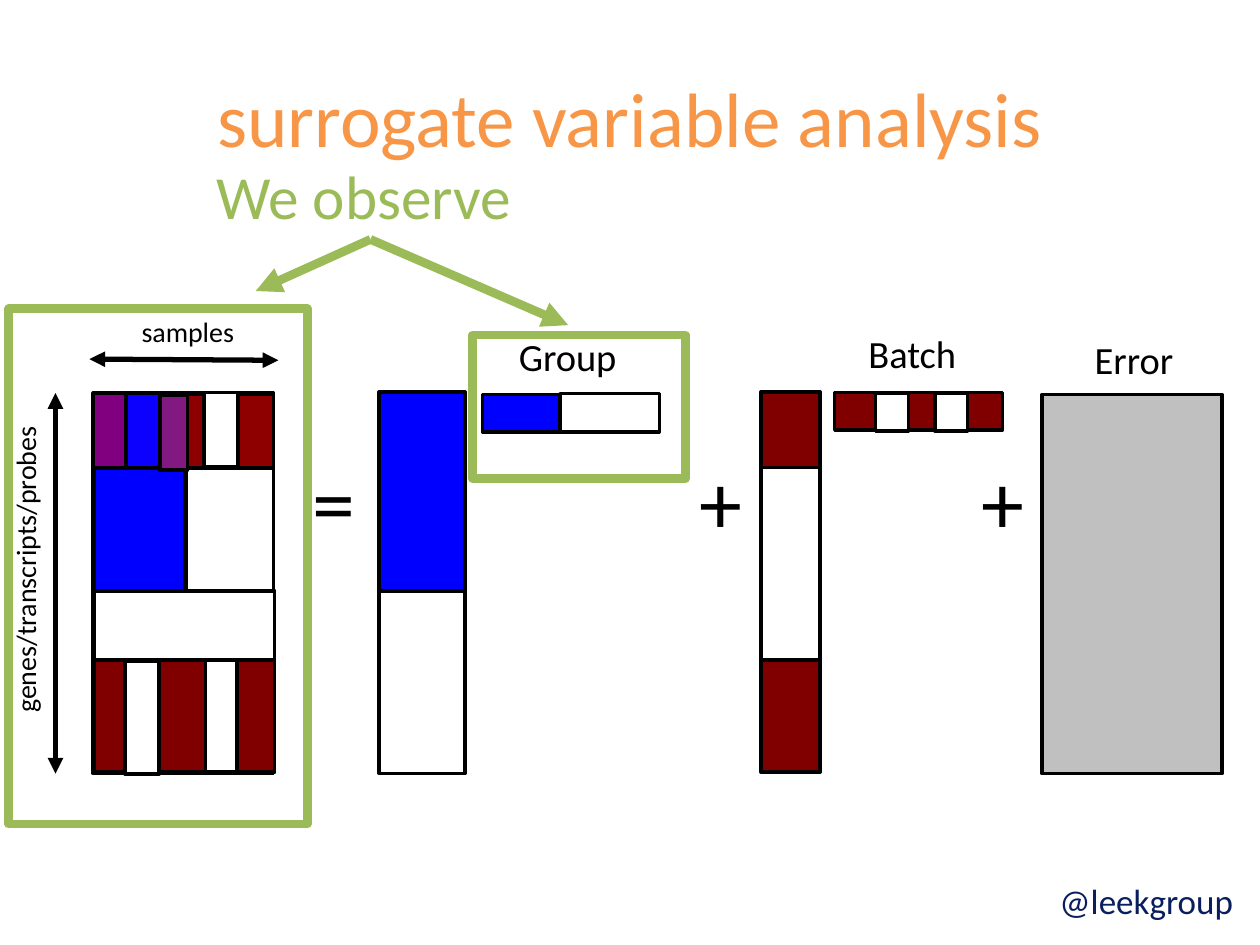
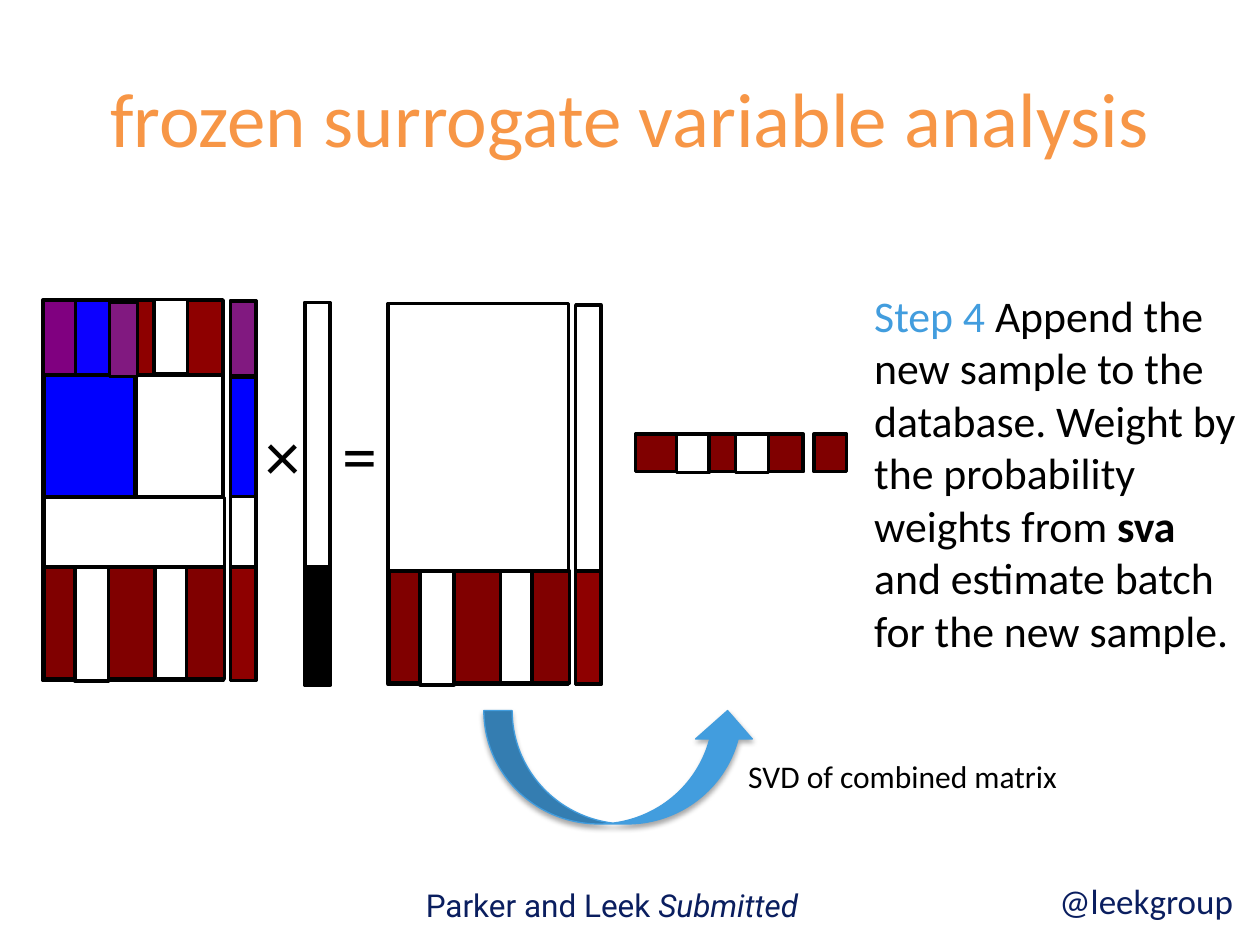
from lxml.etree import SubElement
from pptx import Presentation
from pptx.dml.color import RGBColor
from pptx.enum.shapes import MSO_CONNECTOR as Connector, MSO_SHAPE as Shape
from pptx.enum.text import MSO_ANCHOR as Anchor, PP_ALIGN as Align
from pptx.oxml.ns import qn
from pptx.util import Pt

BLACK = RGBColor(0x00, 0x00, 0x00)
WHITE = RGBColor(0xFF, 0xFF, 0xFF)
ORANGE = RGBColor(0xF7, 0x96, 0x46)
GREEN = RGBColor(0x9B, 0xBB, 0x59)
NAVY = RGBColor(0x0A, 0x1E, 0x5F)
SKY = RGBColor(0x42, 0x9D, 0xDE)
BLUE = RGBColor(0x00, 0x00, 0xFF)
BRIGHT_BLUE = RGBColor(0x0C, 0x00, 0xFF)
MAROON = RGBColor(0x80, 0x00, 0x00)
RED = RGBColor(0x8E, 0x00, 0x00)
PURPLE = RGBColor(0x80, 0x00, 0x80)
PLUM = RGBColor(0x81, 0x19, 0x80)
GREY = RGBColor(0xC0, 0xC0, 0xC0)

FONT = "Calibri"

# Each cell: fill, left, top, width, height from the figure's own corner
BATCH_ROWS = [
    (MAROON, 0, 0, 103, 64.1),
    (WHITE, 63.4, 0, 18, 64.1),
    (WHITE, 17.6, 0.4, 19.4, 64.8),
]
DATA_MATRIX = [
    (PURPLE, 0, 0, 103, 217.4),
    (RED, 38.2, 0.4, 64.8, 42.5),
    (WHITE, 63.4, -0.4, 19.4, 42.5),
    (BRIGHT_BLUE, 18.7, 0, 19.4, 42.5),
    (BLUE, 0.7, 43, 51.8, 69.8),
    (WHITE, 53.3, 43, 49.7, 69.8),
    (WHITE, 0.7, 113, 103, 39.6),
    *[(fill, x + 0.7, y + 152.6, w, h) for fill, x, y, w, h in BATCH_ROWS],
    (PLUM, 38.2, 1.4, 15.8, 42.5),
]
BATCH_STRIP = [
    (MAROON, 0, 0, 95.8, 21.6),
    (WHITE, 57.2, 0.4, 18.7, 21.6),
    (WHITE, 23.4, 0.4, 18.7, 21.6),
]


def add_cells(slide, left, top, cells):
    """Draw outlined rectangles relative to a common corner."""
    for fill, x, y, width, height in cells:
        cell = slide.shapes.add_shape(
            Shape.RECTANGLE, Pt(left + x), Pt(top + y), Pt(width), Pt(height))
        cell.shadow.inherit = False
        cell.fill.solid()
        cell.fill.fore_color.rgb = fill
        cell.line.color.rgb = BLACK
        cell.line.width = Pt(2)


def add_text(slide, left, top, width, height, size, paragraphs,
             align=Align.LEFT, font=FONT, wrap=True):
    """Add a text box; every run is (text, colour, bold, italic)."""
    box = slide.shapes.add_textbox(Pt(left), Pt(top), Pt(width), Pt(height))
    frame = box.text_frame
    frame.word_wrap = wrap
    for index, runs in enumerate(paragraphs):
        para = frame.add_paragraph() if index else frame.paragraphs[0]
        para.alignment = align
        for text, colour, bold, italic in runs:
            span = para.add_run()
            span.text = text
            span.font.name = font
            span.font.size = Pt(size)
            span.font.color.rgb = colour
            span.font.bold = bold
            span.font.italic = italic
    return box


deck = Presentation()
deck.slide_width, deck.slide_height = Pt(720), Pt(540)

pages = []
for heading in ("surrogate variable analysis", "frozen surrogate variable analysis"):
    page = deck.slides.add_slide(deck.slide_layouts[5])
    title = page.shapes.title
    title.left, title.top, title.width, title.height = Pt(36), Pt(21.6), Pt(648), Pt(90)
    title.text_frame.vertical_anchor = Anchor.MIDDLE
    para = title.text_frame.paragraphs[0]
    para.alignment = Align.CENTER
    span = para.add_run()
    span.text = heading
    span.font.name = FONT
    span.font.size = Pt(44)
    span.font.color.rgb = ORANGE
    pages.append(page)
observed, frozen = pages

# The handle lives on the master, so both slides show it
handle = add_text(observed, 598.3, 499, 115.2, 31.7, 20,
                  [[("@leekgroup", NAVY, False, False)]], wrap=False)
deck.slide_master.shapes.element.append(handle.element)

# Slide 1: data = group effect + batch effect + error
add_cells(observed, 53.3, 224.6, DATA_MATRIX)
add_cells(observed, 216.7, 223.9, [
    (WHITE, 0, 0.7, 49, 217.4),
    (BLUE, 0, 0, 49, 113.8),
])
add_cells(observed, 275.8, 225.4, [
    (BLUE, 0, 0, 100.8, 21.6),
    (WHITE, 44.2, -0.4, 56.9, 21.6),
])
add_cells(observed, 434.9, 223.9, [
    (MAROON, 0, 0, 33.8, 217.4),
    (WHITE, 0, 43.2, 33.8, 110.2),
])
add_cells(observed, 477, 224.3, BATCH_STRIP)
add_cells(observed, 595.4, 225.4, [(GREY, 0, 0, 103, 216.7)])

for sign, left in (("=", 171.4), ("+", 392.4), ("+", 553.7)):
    add_text(observed, left, 252.7, 32.4, 89.3, 49,
             [[(sign, BLACK, False, False)]], Align.CENTER)

for text, left, top, size in (
    ("samples", 47.3, 176.4, 16),
    ("Group", 264.4, 186.5, 22),
    ("Batch", 461.3, 185, 22),
    ("Error", 588, 188.6, 22),
):
    add_text(observed, left, top, 120, 34.6, size,
             [[(text, BLACK, False, False)]], Align.CENTER)

row_label = add_text(observed, -90.7, 311.8, 211, 27.4, 16,
                     [[("genes/transcripts/probes", BLACK, False, False)]], Align.CENTER)
row_label.rotation = 270

add_text(observed, 116.6, 87.1, 189.4, 49.7, 35,
         [[("We observe", GREEN, False, False)]], wrap=False)

for left, top, width, height in ((5, 176.4, 170.6, 294.5), (270, 191.5, 121.7, 82.1)):
    frame = observed.shapes.add_shape(
        Shape.RECTANGLE, Pt(left), Pt(top), Pt(width), Pt(height))
    frame.shadow.inherit = False
    frame.fill.background()
    frame.line.color.rgb = GREEN
    frame.line.width = Pt(5)

BOTH_ENDS, FAR_END = ("a:headEnd", "a:tailEnd"), ("a:tailEnd",)
for x1, y1, x2, y2, colour, weight, ends in (
    (31.7, 224.6, 31.7, 442.1, BLACK, 3, BOTH_ENDS),
    (159.1, 205.9, 51.1, 205.2, BLACK, 3, BOTH_ENDS),
    (211.7, 136.8, 146.2, 166.3, GREEN, 5, FAR_END),
    (211.7, 136.8, 324.7, 185.8, GREEN, 5, FAR_END),
):
    arrow = observed.shapes.add_connector(
        Connector.STRAIGHT, Pt(x1), Pt(y1), Pt(x2), Pt(y2))
    arrow.line.color.rgb = colour
    arrow.line.width = Pt(weight)
    properties = arrow.element.spPr
    for end in ends:
        SubElement(properties.find(qn("a:ln")), qn(end), type="triangle")
    SubElement(properties, qn("a:effectLst"))

# Slide 2: data with a new sample, weighted to leave the batch rows
add_cells(frozen, 24.5, 171.4, DATA_MATRIX)
add_cells(frozen, 131.8, 172.1, [
    (WHITE, 0, 0, 14.4, 216.7),
    (BLUE, 0, 43.2, 14.4, 68.4),
    (PLUM, 0, 0, 14.4, 42.5),
    (RED, 0, 151.9, 14.4, 64.8),
])
add_cells(frozen, 174.2, 172.8, [
    (WHITE, 0, 0, 14.4, 216.7),
    (BLACK, 0, 151.2, 14.4, 67.7),
])
add_cells(frozen, 221.8, 173.5, [(WHITE, 0, 0, 103, 217.4)])
add_cells(frozen, 222.5, 326.2, BATCH_ROWS)
add_cells(frozen, 329, 174.2, [
    (WHITE, 0, 0, 14.4, 216.7),
    (RED, 0, 152, 14.4, 64.8),
])
add_cells(frozen, 363.2, 248, [*BATCH_STRIP, (MAROON, 101.9, 0, 18.7, 21.6)])

for sign, left in (("×", 144.7), ("=", 188.6)):
    add_text(frozen, left, 231.8, 38.2, 55.4, 40,
             [[(sign, BLACK, False, False)]], wrap=False)

add_text(frozen, 492.5, 161.3, 227.5, 219.6, 25, [
    [("Step 4 ", SKY, False, False),
     ("Append the new sample to the database. Weight by the probability",
      BLACK, False, False)],
    [("weights from ", BLACK, False, False),
     ("sva", BLACK, True, False),
     (" and estimate batch for the new sample.", BLACK, False, False)],
])

svd_arrow = frozen.shapes.add_shape(
    Shape.CURVED_DOWN_ARROW, Pt(276.5), Pt(406.1), Pt(155.5), Pt(64.8))
svd_arrow.fill.solid()
svd_arrow.fill.fore_color.rgb = SKY
svd_arrow.line.color.rgb = SKY
svd_arrow.line.width = Pt(0.75)
svd_arrow.shadow.inherit = False
properties = svd_arrow.element.spPr
properties.find(qn("a:xfrm")).set("flipV", "1")
shadow = SubElement(properties.find(qn("a:effectLst")), qn("a:outerShdw"),
                    blurRad=str(Pt(3.1)), dist=str(Pt(1.8)), dir="5400000", rotWithShape="0")
shadow_colour = SubElement(shadow, qn("a:srgbClr"), val=str(BLACK))
SubElement(shadow_colour, qn("a:alpha"), val="35000")

add_text(frozen, 420.5, 429.1, 197.3, 28.8, 18,
         [[("SVD of combined matrix", BLACK, False, False)]], wrap=False)
add_text(frozen, 236.2, 502.6, 248.4, 28.8, 18,
         [[("Parker and Leek ", NAVY, False, False), ("Submitted", NAVY, False, True)]],
         font="Roboto")

deck.save("out.pptx")
